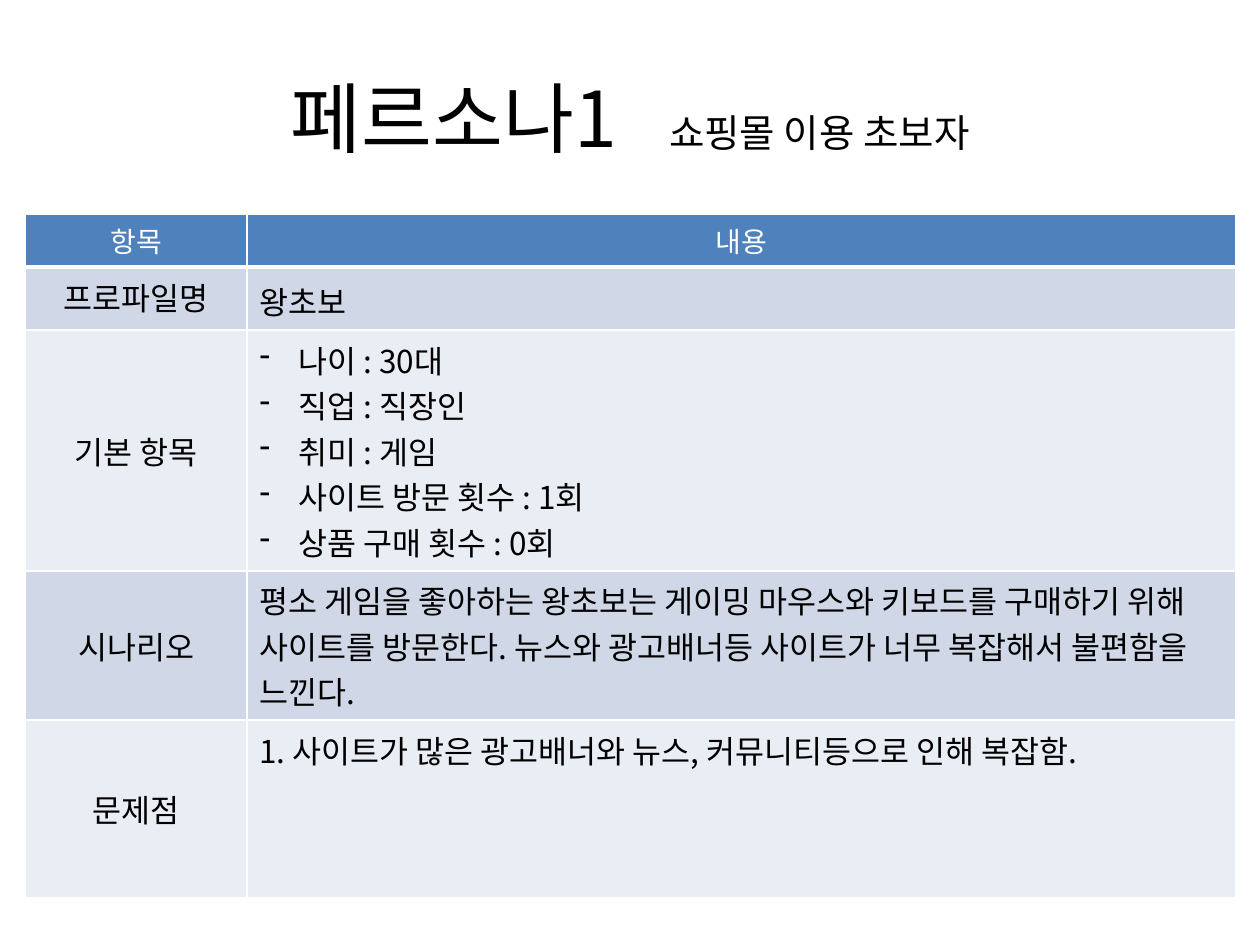
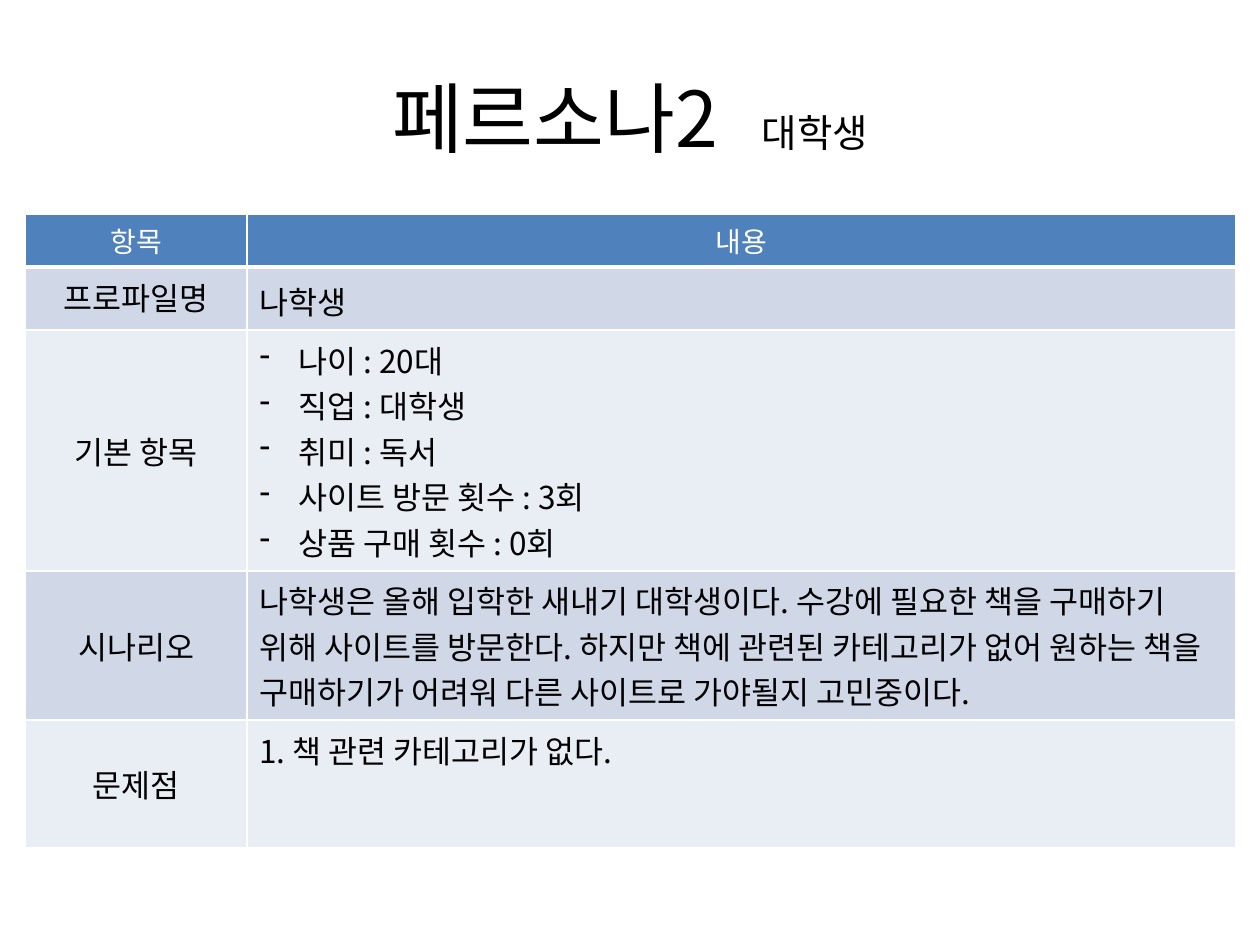
from dataclasses import dataclass

from lxml import etree
from pptx import Presentation
from pptx import util as u
from pptx.dml.color import RGBColor
from pptx.enum import text
from pptx.oxml import ns


@dataclass(frozen=True)
class Theme:
    font: str = "Noto Sans CJK KR"
    ink: str = "000000"
    paper: str = "FFFFFF"
    header: str = "4F81BD"
    bands: tuple = ("D0D8E8", "E9EDF4")
    title_size: int = 44
    subtitle_size: int = 22
    header_size: int = 16
    body_size: int = 18
    rule: int = 1
    header_rule: int = 3


# Grid of 100 columns by 75 rows
COLUMNS, ROWS = 100, 75
TITLE_BOX = (5, 3, 90, 12.5)
TABLE_CORNER = (2, 17)
TABLE_COLUMNS = (17.6, 78.5)
TABLE_ROWS = (4.1, 5, 19.1, 11.8)

HEADINGS = ("항목", "내용")
LABELS = ("프로파일명", "기본 항목", "시나리오", "문제점")
FACTS = ("나이", "직업", "취미", "사이트 방문 횟수", "상품 구매 횟수")

PERSONAS = (
    dict(
        title="페르소나1", subtitle="쇼핑몰 이용 초보자", gap=20,
        name="왕초보",
        facts=("30대", "직장인", "게임", "1회", "0회"),
        scenario="평소 게임을 좋아하는 왕초보는 게이밍 마우스와 키보드를 구매하기 위해 "
                 "사이트를 방문한다. 뉴스와 광고배너등 사이트가 너무 복잡해서 불편함을 느낀다.",
        problem="1. 사이트가 많은 광고배너와 뉴스, 커뮤니티등으로 인해 복잡함.",
        problem_rows=14.1,
    ),
    dict(
        title="페르소나2", subtitle="대학생", gap=15,
        name="나학생",
        facts=("20대", "대학생", "독서", "3회", "0회"),
        scenario="나학생은 올해 입학한 새내기 대학생이다. 수강에 필요한 책을 구매하기 위해 "
                 "사이트를 방문한다. 하지만 책에 관련된 카테고리가 없어 원하는 책을 "
                 "구매하기가 어려워 다른 사이트로 가야될지 고민중이다.",
        problem="1. 책 관련 카테고리가 없다.",
        problem_rows=10.1,
    ),
)


class Deck:
    def __init__(self, theme):
        self.theme = theme
        self.prs = Presentation()
        self.prs.slide_width, self.prs.slide_height = u.Inches(10), u.Inches(7.5)
        self.slide = None

    def x(self, columns):
        return round(self.prs.slide_width * columns / COLUMNS)

    def y(self, rows):
        return round(self.prs.slide_height * rows / ROWS)

    def new_slide(self):
        self.slide = self.prs.slides.add_slide(self.prs.slide_layouts[5])

    def run(self, paragraph, words, size, color, spacing=0):
        run = paragraph.add_run()
        run.text = words
        run.font.size = u.Pt(size)
        run.font.bold = False
        run.font.color.rgb = RGBColor.from_string(color)
        run.font.name = self.theme.font
        props = run._r.get_or_add_rPr()
        etree.SubElement(props, ns.qn("a:ea"), typeface=self.theme.font)
        if spacing:
            props.set("spc", str(spacing * 100))

    def title(self, name, subtitle, gap):
        heading = self.slide.shapes.title
        left, top, width, height = TITLE_BOX
        heading.left, heading.top = self.x(left), self.y(top)
        heading.width, heading.height = self.x(width), self.y(height)
        heading.text_frame.vertical_anchor = text.MSO_ANCHOR.MIDDLE
        line = heading.text_frame.paragraphs[0]
        line.alignment = text.PP_ALIGN.CENTER
        self.run(line, name, self.theme.title_size, self.theme.ink)
        self.run(line, " ", self.theme.title_size, self.theme.ink, gap)
        self.run(line, subtitle, self.theme.subtitle_size, self.theme.ink)

    def table(self, widths, heights):
        left, top = TABLE_CORNER
        grid = self.slide.shapes.add_table(
            len(heights), len(widths), self.x(left), self.y(top),
            self.x(sum(widths)), self.y(sum(heights))).table
        for column, width in zip(grid.columns, widths):
            column.width = self.x(width)
        for row, height in zip(grid.rows, heights):
            row.height = self.y(height)
        return grid

    def borders(self, cell, bottom):
        props = cell._tc.get_or_add_tcPr()
        rule = self.theme.rule
        sides = (("L", rule), ("R", rule), ("T", rule), ("B", bottom))
        for place, (side, points) in enumerate(sides):
            edge = etree.Element(ns.qn(f"a:ln{side}"), w=str(u.Pt(points)))
            fill = etree.SubElement(edge, ns.qn("a:solidFill"))
            etree.SubElement(fill, ns.qn("a:srgbClr"), val=self.theme.paper)
            props.insert(place, edge)

    def cell(self, cell, lines, fill, header=False, centered=False,
             middle=False, bullets=False, spacing=None):
        theme = self.theme
        cell.fill.solid()
        cell.fill.fore_color.rgb = RGBColor.from_string(fill)
        self.borders(cell, theme.header_rule if header else theme.rule)
        cell.vertical_anchor = text.MSO_ANCHOR.MIDDLE if middle else text.MSO_ANCHOR.TOP
        size, color = ((theme.header_size, theme.paper) if header
                       else (theme.body_size, theme.ink))
        frame = cell.text_frame
        for index, words in enumerate(lines):
            line = frame.add_paragraph() if index else frame.paragraphs[0]
            line.alignment = text.PP_ALIGN.CENTER if centered else text.PP_ALIGN.LEFT
            if spacing:
                line.line_spacing = spacing
            if bullets:
                self.bullet(line)
            self.run(line, words, size, color)

    def bullet(self, line):
        props = line._p.get_or_add_pPr()
        indent = u.Inches(0.31)
        props.set("marL", str(indent))
        props.set("indent", str(-indent))
        etree.SubElement(props, ns.qn("a:buChar"), char="-")

    def persona(self, persona):
        self.new_slide()
        self.title(persona["title"], persona["subtitle"], persona["gap"])
        grid = self.table(TABLE_COLUMNS, TABLE_ROWS + (persona["problem_rows"],))

        # Header row
        for column, heading in enumerate(HEADINGS):
            self.cell(grid.cell(0, column), [heading], self.theme.header,
                      header=True, centered=True, middle=True)

        # Banded rows: label on the left, content on the right
        facts = [f"{fact} : {value}" for fact, value in zip(FACTS, persona["facts"])]
        contents = (
            ([persona["name"]], dict(spacing=1.1)),
            (facts, dict(bullets=True)),
            ([persona["scenario"]], {}),
            ([persona["problem"]], {}),
        )
        for row, (label, (lines, style)) in enumerate(zip(LABELS, contents), 1):
            band = self.theme.bands[(row - 1) % 2]
            self.cell(grid.cell(row, 0), [label], band, centered=True, middle=row > 1)
            self.cell(grid.cell(row, 1), lines, band, **style)


def main():
    deck = Deck(Theme())
    for persona in PERSONAS:
        deck.persona(persona)
    deck.prs.save("out.pptx")


if __name__ == "__main__":
    main()
